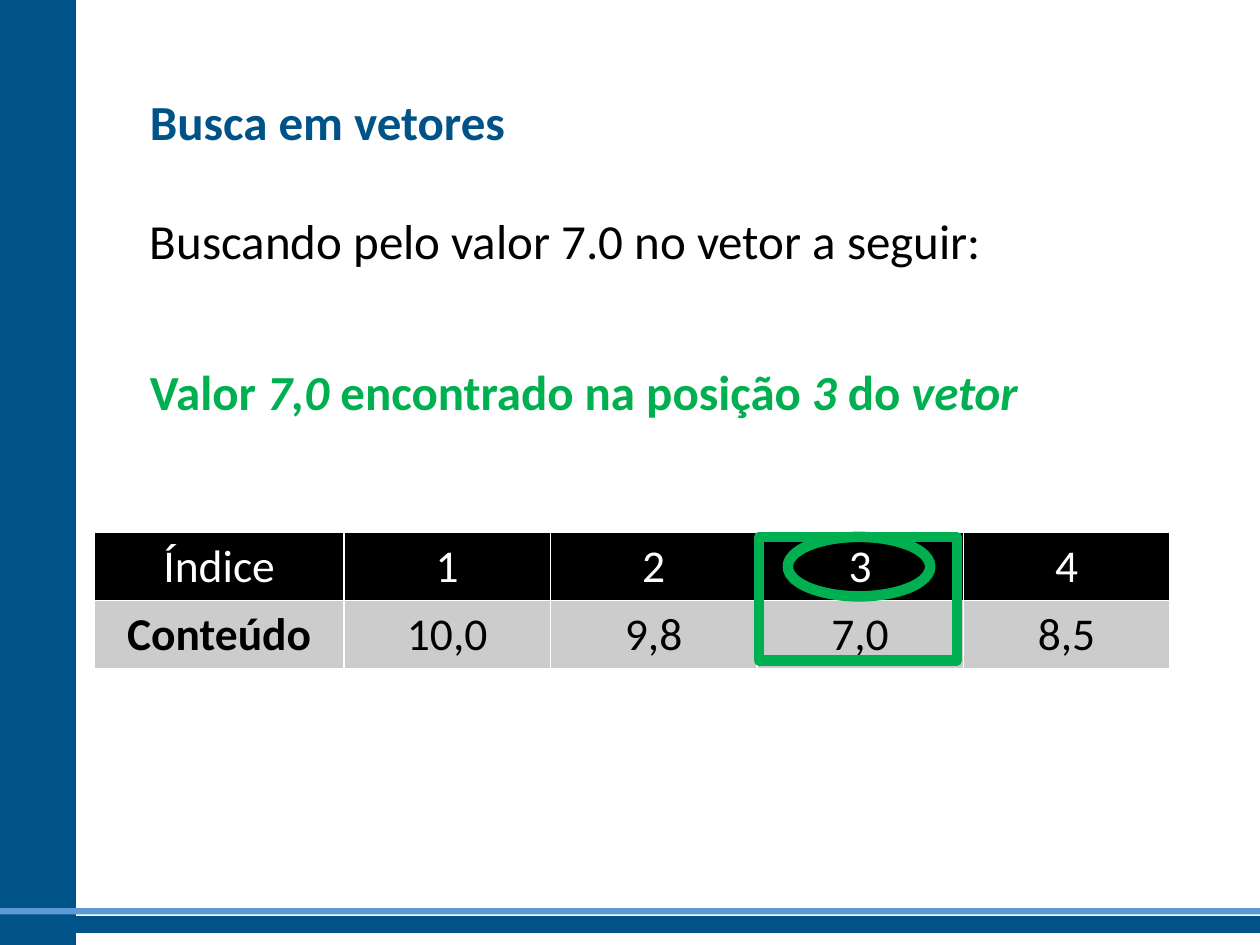
from lxml.etree import SubElement
from pptx import Presentation
from pptx.dml.color import RGBColor as Rgb
from pptx.enum.shapes import MSO_SHAPE as Shape
from pptx.enum.text import MSO_ANCHOR as Anchor, MSO_AUTO_SIZE as AutoSize, PP_ALIGN as Align
from pptx.oxml.ns import qn
from pptx.util import Pt

COLORS = {
    "navy": "005388",
    "sky": "5B9BD5",
    "green": "00B050",
    "black": "000000",
    "white": "FFFFFF",
    "gray": "CCCCCC",
}


def color(name):
    return Rgb.from_string(COLORS[name])


def add_span(para, text, size=28, ink="black", bold=False, italic=False):
    span = para.add_run()
    span.text = text
    font = span.font
    font.name, font.size = "Calibri", Pt(size)
    font.bold, font.italic = bold, italic
    font.color.rgb = color(ink)


class SlideBuilder:
    def __init__(self, page):
        self.page = page

    def shape(self, kind, left, top, width, height, fill=None, line=None, weight=1):
        box = self.page.shapes.add_shape(kind, Pt(left), Pt(top), Pt(width), Pt(height))
        box.shadow.inherit = False
        if fill:
            box.fill.solid()
            box.fill.fore_color.rgb = color(fill)
        else:
            box.fill.background()
        if line:
            box.line.color.rgb = color(line)
            box.line.width = Pt(weight)
        else:
            box.line.fill.background()

    def placeholder(self, box, left, top, width, height, anchor):
        box.left, box.top, box.width, box.height = Pt(left), Pt(top), Pt(width), Pt(height)
        frame = box.text_frame
        frame.word_wrap = True
        frame.auto_size = AutoSize.NONE
        frame.vertical_anchor = anchor
        return frame

    def paragraph(self, para, spans, before=10, spacing=1.0):
        para.alignment = Align.LEFT
        para.space_before = Pt(before)
        para.line_spacing = spacing
        props = para._p.get_or_add_pPr()
        props.set("marL", "0")
        props.set("indent", "0")
        SubElement(props, qn("a:buNone"))
        for text, style in spans:
            add_span(para, text, **style)

    def cell(self, cell, text, fill, **style):
        props = cell._tc.get_or_add_tcPr()
        for side in ("lnL", "lnR", "lnT", "lnB"):
            border = SubElement(props, qn(f"a:{side}"), w=str(Pt(1)))
            solid = SubElement(border, qn("a:solidFill"))
            SubElement(solid, qn("a:srgbClr"), val=COLORS["white"])
        cell.fill.solid()
        cell.fill.fore_color.rgb = color(fill)
        para = cell.text_frame.paragraphs[0]
        para.alignment = Align.CENTER
        add_span(para, text, size=26, **style)

    def table(self, left, top, widths, row_height, rows):
        frame = self.page.shapes.add_table(
            len(rows), len(widths), Pt(left), Pt(top), Pt(sum(widths)), Pt(row_height * len(rows)))
        table = frame.table
        for column, width in zip(table.columns, widths):
            column.width = Pt(width)
        for r, values in enumerate(rows):
            table.rows[r].height = Pt(row_height)
            for c, text in enumerate(values):
                header = r == 0
                self.cell(table.cell(r, c), text, "black" if header else "gray",
                          ink="white" if header else "black", bold=not header and c == 0)


def main():
    deck = Presentation()
    deck.slide_width, deck.slide_height = Pt(720), Pt(540)
    page = deck.slides.add_slide(deck.slide_layouts[1])
    builder = SlideBuilder(page)

    # Side and bottom bars
    builder.shape(Shape.RECTANGLE, 0, 0, 43.2, 540, fill="navy", line="navy")
    builder.shape(Shape.RECTANGLE, 0, 524, 720, 8.6, fill="navy", line="navy")
    builder.shape(Shape.RECTANGLE, 0, 519, 720, 3.6, fill="sky")

    # Title
    title = builder.placeholder(page.shapes.title, 78.5, 39, 621.4, 64.8, Anchor.MIDDLE)
    builder.paragraph(title.paragraphs[0],
                      [("Busca em vetores", {"ink": "navy", "bold": True})], spacing=0.9)

    # Question and result
    body = builder.placeholder(page.placeholders[1], 78.5, 116.6, 621.4, 347.8, Anchor.TOP)
    builder.paragraph(body.paragraphs[0], [("Buscando pelo valor 7.0 no vetor a seguir:", {})])
    result = {"ink": "green", "bold": True}
    emphasis = {**result, "italic": True}
    builder.paragraph(body.add_paragraph(), [
        ("Valor ", result), ("7,0", emphasis),
        (" encontrado na posição ", result), ("3", emphasis),
        (" do ", result), ("vetor", emphasis),
    ], before=52.7)

    # Array table
    builder.table(54, 304.2, [142.6] + [118] * 4, 38.6, [
        ["Índice", "1", "2", "3", "4"],
        ["Conteúdo", "10,0", "9,8", "7,0", "8,5"],
    ])

    # Marks on the found position
    builder.shape(Shape.RECTANGLE, 433.6, 306.8, 113.3, 70.6, line="green", weight=6)
    builder.shape(Shape.OVAL, 450.2, 306.8, 81.4, 34, line="green", weight=6)

    deck.save("out.pptx")


if __name__ == "__main__":
    main()
